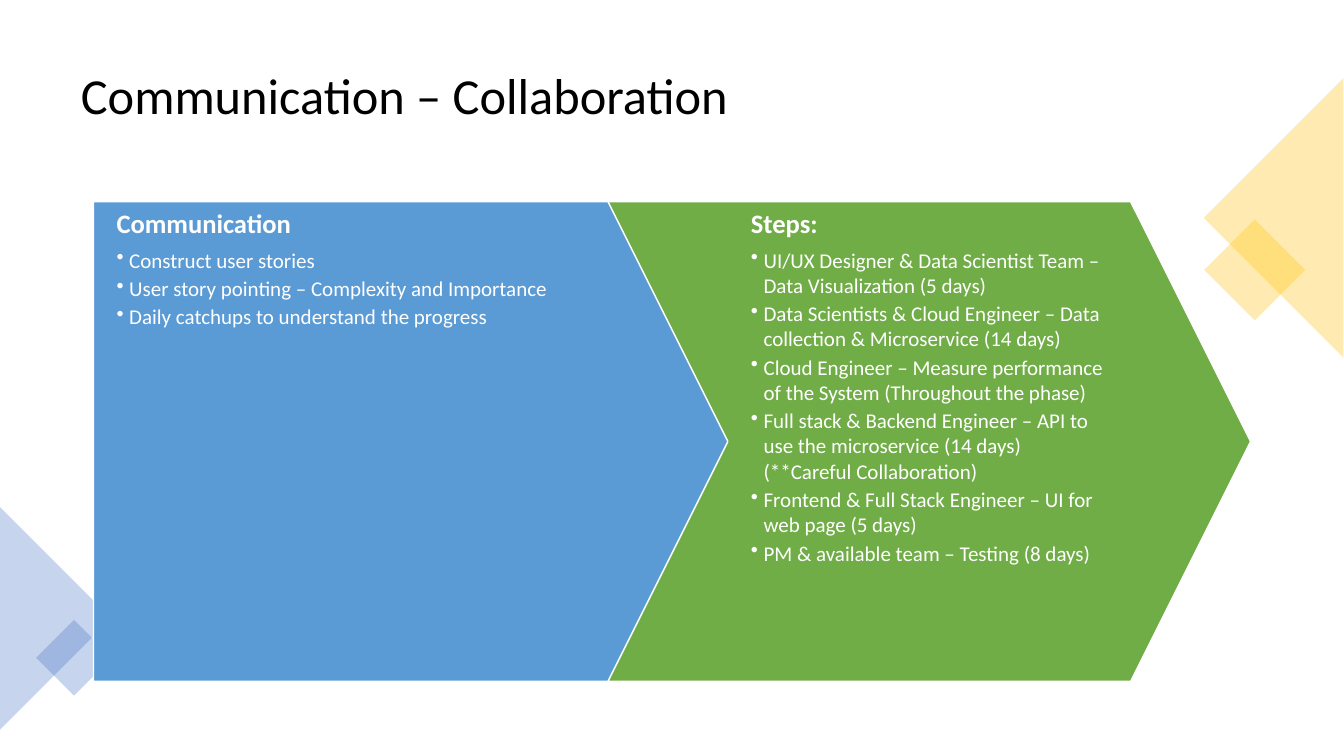
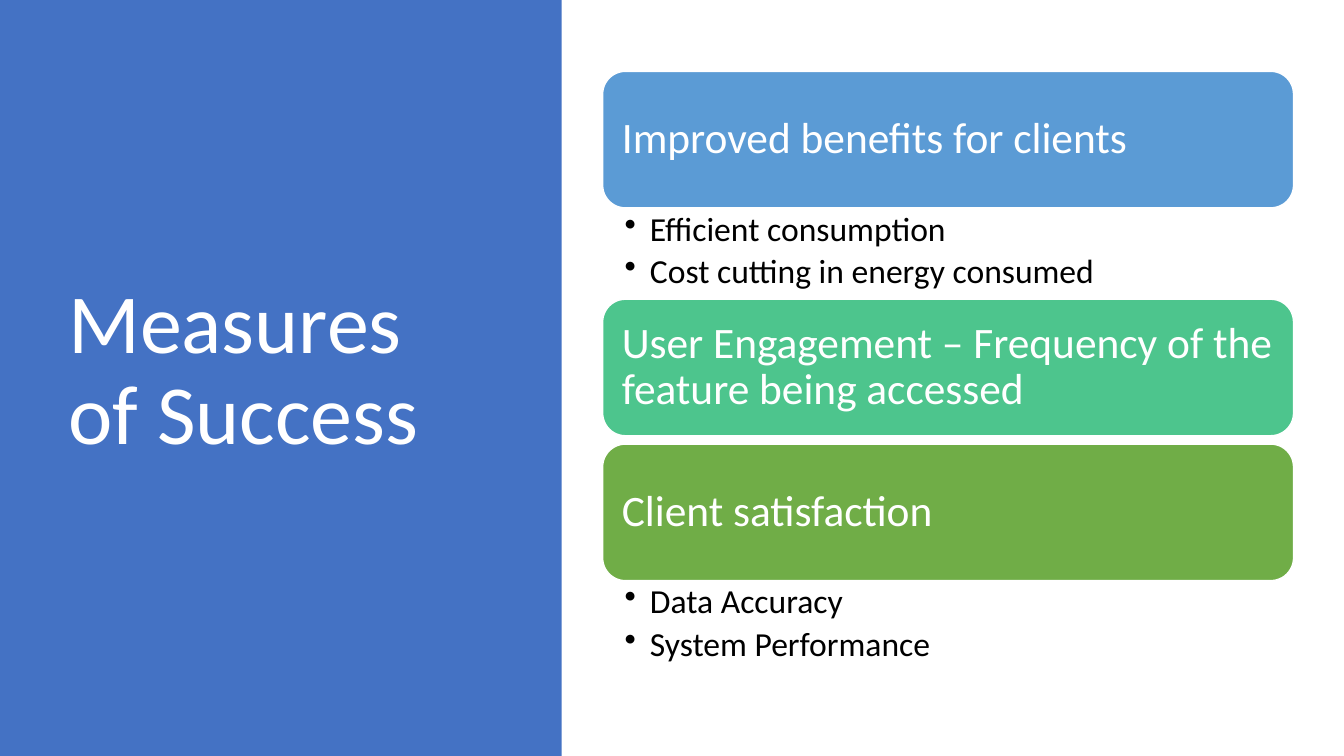
import lxml.etree
import pptx
import pptx.dml.color
import pptx.enum.shapes
import pptx.enum.text
import pptx.oxml.ns
import pptx.util

RGB = pptx.dml.color.RGBColor
SHAPE = pptx.enum.shapes.MSO_SHAPE
ANCHOR = pptx.enum.text.MSO_ANCHOR
Pt = pptx.util.Pt

BLACK = RGB(0x00, 0x00, 0x00)
WHITE = RGB(0xFF, 0xFF, 0xFF)
BLUE = RGB(0x44, 0x72, 0xC4)
GOLD = RGB(0xFF, 0xC0, 0x00)
SKY = RGB(0x5B, 0x9B, 0xD5)
MINT = RGB(0x4D, 0xC5, 0x8D)
GREEN = RGB(0x70, 0xAD, 0x47)

FONT = "Calibri"
EMU_PER_PX = 9525
SLIDE_WIDTH, SLIDE_HEIGHT = 1280, 720
TITLE_INSETS = (10, 5, 10, 5)

HEADING = {"size": 19, "bold": True, "color": WHITE, "after": 6}
STEP = {"size": 15, "color": WHITE, "after": 2.25, "indent": 12}
CARD = {"size": 31, "color": WHITE, "leading": 0.9}
DETAIL = {"size": 24, "color": BLACK, "leading": 0.9, "after": 4.5, "indent": 24}

# shape, box, rotation, colour
DECORATIONS = [
    (SHAPE.RECTANGLE, (1161, 223, 68, 68), 45, GOLD),
    (SHAPE.ISOSCELES_TRIANGLE, (1080, 141, 266, 133), 270, GOLD),
    (SHAPE.ISOSCELES_TRIANGLE, (-53, 536, 212, 106), 90, BLUE),
    (SHAPE.RECTANGLE, (45, 601, 51, 51), 45, BLUE),
]

# shape, left, colour, insets, heading, bullets
ARROWS = [
    (SHAPE.PENTAGON, 89, SKY, (22, 5, 86, 5), "Communication", [
        "Construct user stories",
        "User story pointing – Complexity and Importance",
        "Daily catchups to understand the progress",
    ]),
    (SHAPE.CHEVRON, 579, GREEN, (22, 5, 22, 5), "Steps:", [
        "UI/UX Designer & Data Scientist Team – Data Visualization (5 days)",
        "Data Scientists & Cloud Engineer – Data collection & Microservice (14 days)",
        "Cloud Engineer – Measure performance of the System (Throughout the phase)",
        "Full stack & Backend Engineer – API to use the microservice (14 days) "
        "(**Careful Collaboration)",
        "Frontend & Full Stack Engineer – UI for web page (5 days)",
        "PM & available team – Testing (8 days)",
    ]),
]

MEASURES = [
    (SKY, "Improved benefits for clients",
     ["Efficient consumption", "Cost cutting in energy consumed"]),
    (MINT, "User Engagement – Frequency of the feature being accessed", []),
    (GREEN, "Client satisfaction", ["Data Accuracy", "System Performance"]),
]


def px(*lengths):
    return [length * EMU_PER_PX for length in lengths]


def set_all(target, values):
    for name, value in values.items():
        setattr(target, name, value)


def add_bullet(para, indent):
    properties = para._p.get_or_add_pPr()
    properties.set("marL", str(indent * EMU_PER_PX))
    properties.set("indent", str(-indent * EMU_PER_PX))
    tag = pptx.oxml.ns.qn("a:buChar")
    lxml.etree.SubElement(properties, tag).set("char", "•")


def write(box, lines, insets, anchor=ANCHOR.TOP):
    """Fill a box with (text, format) lines, one paragraph each."""
    frame = box.text_frame
    left, top, right, bottom = px(*insets)
    set_all(frame, {
        "word_wrap": True, "vertical_anchor": anchor,
        "margin_left": left, "margin_top": top,
        "margin_right": right, "margin_bottom": bottom,
    })
    for number, (text, style) in enumerate(lines):
        para = frame.add_paragraph() if number else frame.paragraphs[0]
        set_all(para, {
            "alignment": pptx.enum.text.PP_ALIGN.LEFT,
            "line_spacing": style.get("leading", 1.0),
            "space_before": Pt(0),
            "space_after": Pt(style.get("after", 0)),
        })
        if "indent" in style:
            add_bullet(para, style["indent"])
        span = para.add_run()
        span.text = text
        set_all(span.font, {
            "name": FONT, "size": Pt(style["size"]), "bold": style.get("bold", False),
        })
        span.font.color.rgb = style["color"]


def add_shape(page, kind, box, color, outlined=False):
    shape = page.shapes.add_shape(kind, *px(*box))
    shape.shadow.inherit = False
    shape.fill.solid()
    shape.fill.fore_color.rgb = color
    if outlined:
        shape.line.color.rgb = WHITE
        shape.line.width = Pt(1)
    else:
        shape.line.fill.background()
    return shape


def add_decoration(page, kind, box, rotation, color):
    """Add a turned shape that is 30 % opaque."""
    shape = add_shape(page, kind, box, color)
    shape.rotation = rotation
    color_node = shape._element.spPr.find(".//" + pptx.oxml.ns.qn("a:srgbClr"))
    lxml.etree.SubElement(color_node, pptx.oxml.ns.qn("a:alpha")).set("val", "30000")


def add_text(page, box, lines, insets, anchor=ANCHOR.TOP):
    write(page.shapes.add_textbox(*px(*box)), lines, insets, anchor)


def add_title(page, box, text, size, color):
    style = {"size": size, "color": color, "leading": 0.9}
    add_text(page, box, [(text, style)], TITLE_INSETS, ANCHOR.MIDDLE)


def add_arrow(page, kind, left, color, insets, heading, bullets):
    arrow = add_shape(page, kind, (left, 192, 612, 457), color, outlined=True)
    arrow.adjustments[0] = 0.25
    write(arrow, [(heading, HEADING)] + [(text, STEP) for text in bullets], insets)


def add_measures(page):
    """Stack the cards, each followed by its details or by a small gap."""
    left, top, width = 574, 68, 658
    card_height, detail_height, gap = 130, 87, 8
    for color, heading, details in MEASURES:
        card = add_shape(page, SHAPE.ROUNDED_RECTANGLE,
                         (left, top, width, card_height), color, outlined=True)
        write(card, [(heading, CARD)], (12, 12, 12, 12), ANCHOR.MIDDLE)
        top += card_height
        if details:
            add_text(page, (left, top, width, detail_height),
                     [(text, DETAIL) for text in details], (21, 4, 23, 4))
        top += detail_height if details else gap


def build_collaboration(page):
    add_title(page, (67, 34, 1145, 119), "Communication – Collaboration", 36, BLACK)
    for decoration in DECORATIONS:
        add_decoration(page, *decoration)
    for arrow in ARROWS:
        add_arrow(page, *arrow)


def build_success(page):
    add_shape(page, SHAPE.RECTANGLE, (0, 0, 535, SLIDE_HEIGHT), BLUE)
    add_title(page, (55, 65, 399, 578), "Measures of Success", 60, WHITE)
    add_measures(page)


def main():
    deck = pptx.Presentation()
    deck.slide_width, deck.slide_height = px(SLIDE_WIDTH, SLIDE_HEIGHT)
    for build in (build_collaboration, build_success):
        build(deck.slides.add_slide(deck.slide_layouts[6]))
    deck.save("out.pptx")


if __name__ == "__main__":
    main()
